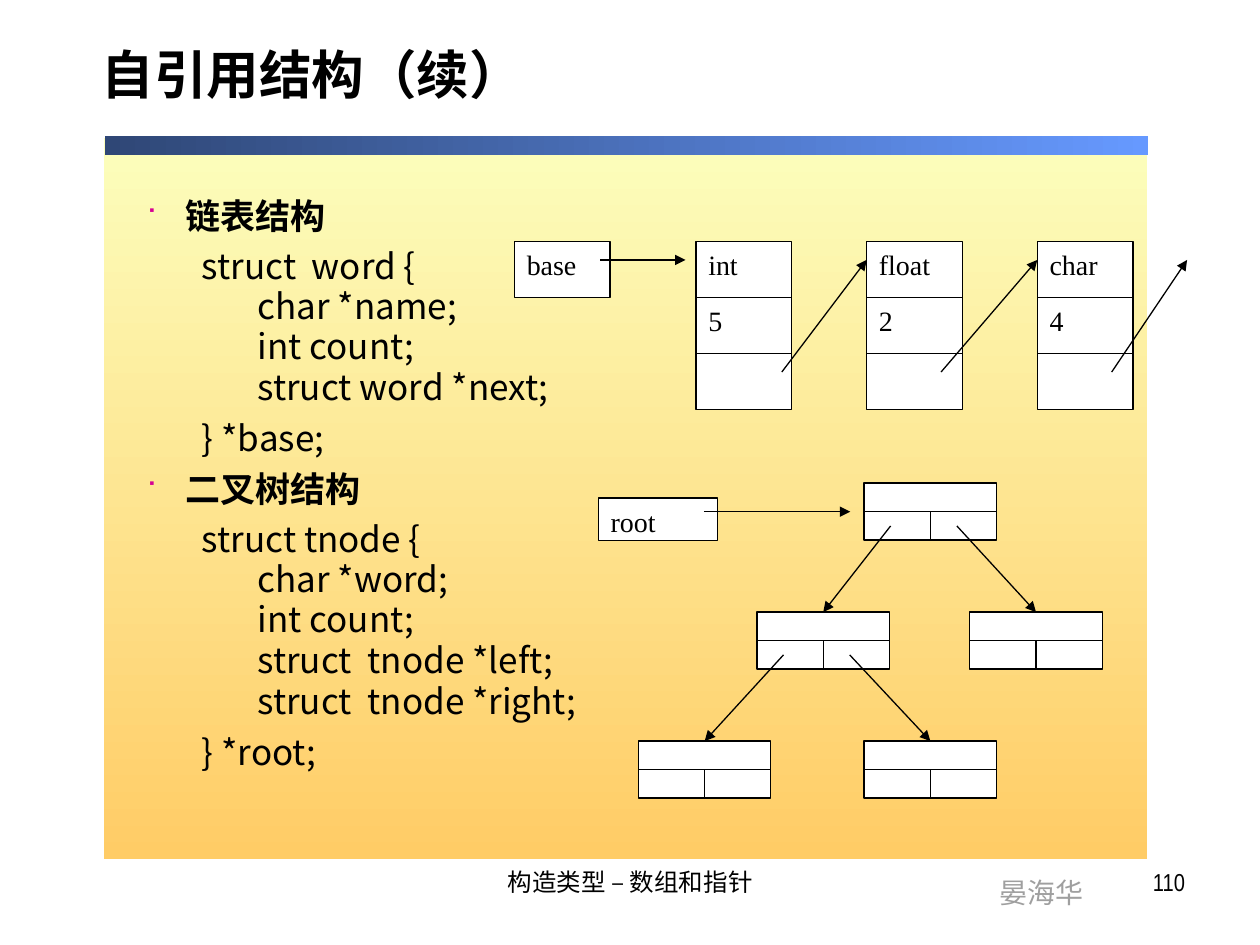
from dataclasses import dataclass

from lxml import etree
from pptx import Presentation
from pptx.dml.color import RGBColor
from pptx.enum import shapes, text
from pptx.oxml import ns
from pptx.util import Cm, Pt

AL, ANC = text.PP_ALIGN, text.MSO_ANCHOR


@dataclass(frozen=True)
class Theme:
    head: str = "Arial Narrow"
    code: str = "Noto Sans CJK SC"
    label: str = "Times New Roman"
    sign: str = "Arial"
    symbol: str = "Wingdings"
    ink: str = "000000"
    paper: str = "FFFFFF"
    grey: str = "9F9F9F"
    bullet: str = "D60093"
    panel: tuple = ("FCFEBC", "FFCC66")
    bar: tuple = ("2F4776", "6699FF")
    title_size: int = 30
    body_size: int = 20
    label_size: int = 16
    foot_size: int = 14
    line: float = 0.75


T = Theme()


def rgb(value):
    return RGBColor.from_string(value)


def sub(parent, tag, **attrs):
    return etree.SubElement(parent, ns.qn(tag), **attrs)


def write(p, words, font=T.head, size=T.body_size, color=T.ink, bold=False,
          align=None, spacing=None, before=None):
    p.alignment, p.line_spacing = align, spacing
    if before is not None:
        p.space_before = Pt(before)
    r = p.add_run()
    r.text = words
    r.font.name, r.font.size, r.font.bold = font, Pt(size), bold
    r.font.color.rgb = rgb(color)


def add_text(s, x, y, w, h, words, anchor=ANC.TOP, wrap=True, **style):
    tf = s.shapes.add_textbox(Cm(x), Cm(y), Cm(w), Cm(h)).text_frame
    tf.word_wrap, tf.vertical_anchor = wrap, anchor
    write(tf.paragraphs[0], words, **style)


def add_label(s, x, y, w, h, words):
    add_text(s, x, y, w, h, words, font=T.label, size=T.label_size, align=AL.JUSTIFY)


def add_rect(s, x, y, w, h):
    sp = s.shapes.add_shape(shapes.MSO_SHAPE.RECTANGLE, Cm(x), Cm(y), Cm(w), Cm(h))
    sp.shadow.inherit = False
    return sp


def add_box(s, x, y, w, h):
    sp = add_rect(s, x, y, w, h)
    sp.fill.solid()
    sp.fill.fore_color.rgb = rgb(T.paper)
    sp.line.color.rgb, sp.line.width = rgb(T.ink), Pt(T.line)


def add_gradient(s, x, y, w, h, colors, angle):
    sp = add_rect(s, x, y, w, h)
    sp.line.fill.background()
    sp.fill.gradient()
    sp.fill.gradient_angle = angle
    for stop, color in zip(sp.fill.gradient_stops, colors):
        stop.color.rgb = rgb(color)


def add_line(s, x1, y1, x2, y2, arrow=False):
    c = s.shapes.add_connector(shapes.MSO_CONNECTOR.STRAIGHT, Cm(x1), Cm(y1), Cm(x2), Cm(y2))
    c.line.color.rgb, c.line.width = rgb(T.ink), Pt(T.line)
    if arrow:
        sub(c.line._get_or_add_ln(), "a:tailEnd", type="triangle")
    sub(c._element.spPr, "a:effectLst")


def add_frame(s, x, y, w, h):
    """Background panel with the bar along its top, title and footer."""
    add_gradient(s, x, y + 0.05, w, h, T.panel, 270)
    add_gradient(s, x + 0.02, y, w, 0.38, T.bar, 0)
    add_text(s, x - 0.3, y - 2.31, 22.76, 2.34, "自引用结构（续）", anchor=ANC.MIDDLE,
             size=T.title_size, bold=True, spacing=0.8)
    foot = y + h + 0.08
    add_text(s, x + 17.8, foot + 0.17, 2.21, 0.94, "晏海华", wrap=False,
             font=T.sign, size=T.label_size, color=T.grey)
    add_text(s, x + 6.58, foot, 8.05, 1.32, "构造类型 – 数组和指针", size=T.foot_size, align=AL.CENTER)
    add_text(s, x + 16.12, foot, 5.92, 1.32, "110", size=T.foot_size, align=AL.RIGHT)


def add_body(s, x, y, w, h):
    """Headings, each with a struct declaration below."""
    sections = [
        ("链表结构", "struct  word {",
         ["char *name;", "int count;", "struct word *next;"], "} *base;"),
        ("二叉树结构", "struct tnode {",
         ["char *word;", "int count;", "struct  tnode *left;", "struct  tnode *right;"],
         "} *root;"),
    ]
    # left margin, first-line indent, line spacing, space before
    levels = [(0.79, -0.79, 0.7, 12), (1.93, -0.81, 0.7, 12), (2.24, 0, 0.8, 4)]
    rows = []
    for heading, opening, fields, closing in sections:
        rows += [(0, heading), (1, opening), *((2, f) for f in fields), (1, closing)]

    tf = s.shapes.add_textbox(Cm(x), Cm(y), Cm(w), Cm(h)).text_frame
    tf.word_wrap = True
    for i, (level, words) in enumerate(rows):
        p = tf.add_paragraph() if i else tf.paragraphs[0]
        margin, indent, spacing, before = levels[level]
        pPr = p._p.get_or_add_pPr()
        pPr.set("marL", str(Cm(margin)))
        pPr.set("indent", str(Cm(indent)))
        p.level = level
        heading = level == 0
        write(p, words, font=T.head if heading else T.code, bold=heading,
              spacing=spacing, before=before if i else None)
        if heading:
            sub(sub(pPr, "a:buClr"), "a:srgbClr", val=T.bullet)
            sub(pPr, "a:buSzPct", val="70000")
            sub(pPr, "a:buFont", typeface=T.symbol)
            sub(pPr, "a:buChar", char="■")
        else:
            sub(pPr, "a:buNone")


def add_linked_list(s, x, y):
    """Base pointer followed by a chain of three-row nodes."""
    w, row, pitch, first = 1.93, 1.13, 3.44, 3.66
    tip = y + 0.37
    add_box(s, x, y, w, row)
    add_label(s, x, y, w, row, "base")
    nodes = [("int", "5", 1.73, 3.44), ("float", "2", 1.5, 3.44), ("char", "4", 1.5, 3.02)]
    for i, (name, count, start, end) in enumerate(nodes):
        left = x + first + i * pitch
        add_box(s, left, y, w, 3 * row)
        for j, words in enumerate((name, count)):
            add_line(s, left, y + (j + 1) * row, left + w, y + (j + 1) * row)
            add_label(s, left, y + j * row, w, row, words)
        add_line(s, left + start, y + 2.63, left + end, tip, arrow=True)
    add_line(s, x + 1.73, tip, x + 3.45, tip, arrow=True)


def add_tree(s, x, y):
    """Root pointer and binary tree of nodes with two link cells."""
    w, h, level = 2.67, 1.15, 2.6
    nodes = [(5.36, 0), (3.2, 1), (7.49, 1), (0.81, 2), (5.36, 2)]
    links = [(0, 1, 0.2), (0, 2, 0.7), (1, 3, 0.2), (1, 4, 0.7)]  # parent, child, start
    add_box(s, x, y + 0.3, 2.41, 0.86)
    add_label(s, x, y + 0.3, 2.41, 0.86, "root")
    for dx, depth in nodes:
        left, top = x + dx, y + depth * level
        add_box(s, left, top, w, h)
        add_line(s, left, top + h / 2, left + w, top + h / 2)
        add_line(s, left + w / 2, top + h / 2, left + w / 2, top + h)
    for parent, child, start in links:
        (px, pd), (cx, cd) = nodes[parent], nodes[child]
        add_line(s, x + px + start * w, y + pd * level + 0.75 * h,
                 x + cx + w / 2, y + cd * level, arrow=True)
    add_line(s, x + 2.13, y + h / 2, x + 5.08, y + h / 2, arrow=True)


def main():
    prs = Presentation()
    prs.slide_width, prs.slide_height = Cm(25.4), Cm(19.05)
    s = prs.slides.add_slide(prs.slide_layouts[6])
    add_frame(s, 2.1, 2.74, 21.03, 14.53)
    add_body(s, 2.7, 4.02, 19.74, 12.65)
    add_linked_list(s, 10.37, 4.87)
    add_tree(s, 12.06, 9.74)
    prs.save("out.pptx")


if __name__ == "__main__":
    main()
